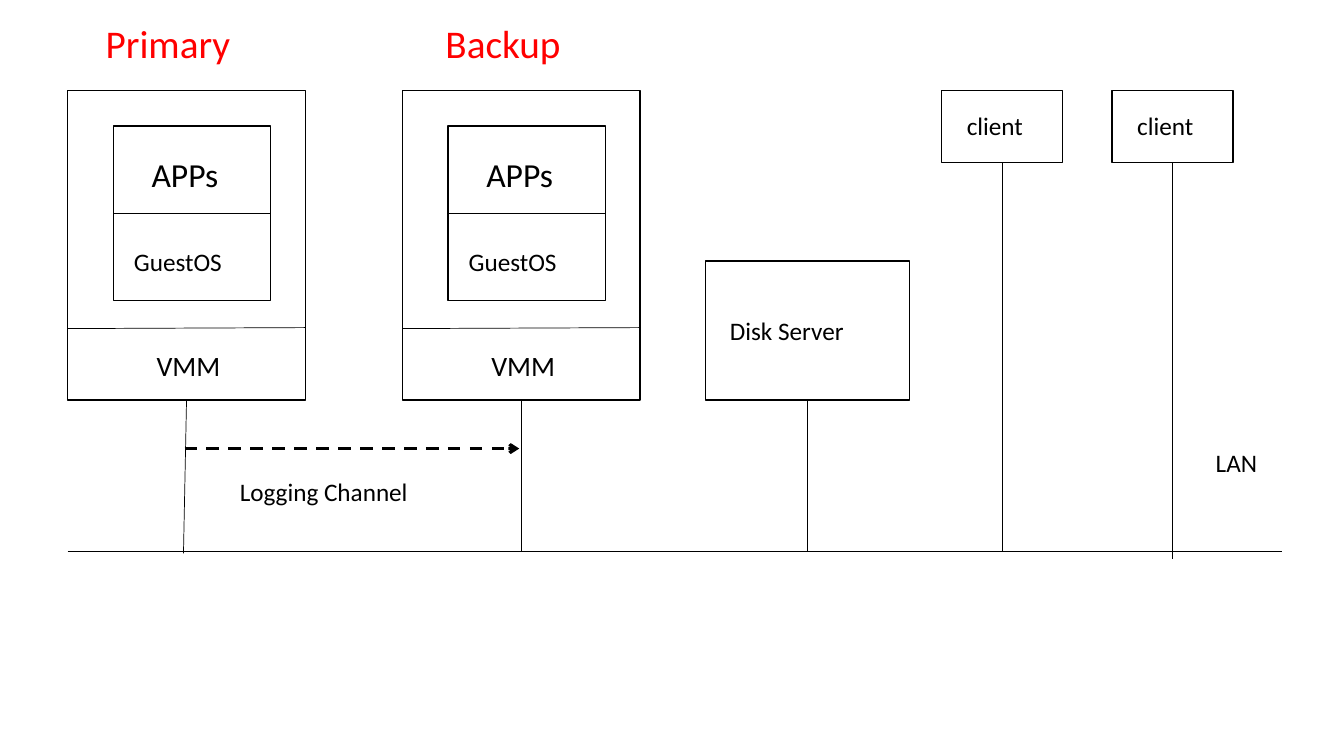
from lxml import etree
from pptx import Presentation
from pptx.dml.color import RGBColor
from pptx.enum.dml import MSO_LINE
from pptx.enum.shapes import MSO_CONNECTOR, MSO_SHAPE
from pptx.oxml.ns import qn
from pptx.util import Inches, Pt

RECT = MSO_SHAPE.RECTANGLE
STRAIGHT = MSO_CONNECTOR.STRAIGHT
DASH = MSO_LINE.DASH
BLACK, WHITE, RED = "000000", "FFFFFF", "FF0000"
TOP, BASE, LAN_Y = 0.9, 3.97, 5.47

prs = Presentation()
prs.slide_width, prs.slide_height = Inches(13.33), Inches(7.5)
s = prs.slides.add_slide(prs.slide_layouts[6])


def add_line(x1, y1, x2, y2, width=0.5):
    c = s.shapes.add_connector(STRAIGHT, Inches(x1), Inches(y1), Inches(x2), Inches(y2))
    c.line.color.rgb = RGBColor.from_string(BLACK)
    c.line.width = Pt(width)
    etree.SubElement(c._element.spPr, qn("a:effectLst"))
    return c


def add_label(text, x, y, w, h, size=18, color=BLACK):
    tb = s.shapes.add_textbox(Inches(x), Inches(y), Inches(w), Inches(h))
    tf = tb.text_frame
    tf.word_wrap = True
    tf.text = text
    r = tf.paragraphs[0].runs[0]
    r.font.name = "Calibri"
    r.font.size = Pt(size)
    r.font.color.rgb = RGBColor.from_string(color)


servers = [0.67, 3.99]
clients = [9.34, 11.03]

boxes = [(7, 2.59, 2.02, 1.38)]
for x in servers:
    boxes += [(x, TOP, 2.36, 3.07), (x + 0.455, 1.25, 1.56, 1.73)]
for x in clients:
    boxes.append((x, TOP, 1.2, 0.71))

for x, y, w, h in boxes:
    box = s.shapes.add_shape(RECT, Inches(x), Inches(y), Inches(w), Inches(h))
    box.shadow.inherit = False
    box.fill.solid()
    box.fill.fore_color.rgb = RGBColor.from_string(WHITE)
    box.line.color.rgb = RGBColor.from_string(BLACK)
    box.line.width = Pt(1)

for x in servers:
    add_line(x, 3.26, x + 2.36, 3.25)
    add_line(x + 0.455, 2.12, x + 2.015, 2.12)
    add_label("VMM", x + 0.785, 3.41, 0.9, 0.44, 20)
    add_label("APPs", x + 0.735, 1.48, 1, 0.5, 24)
    add_label("GuestOS", x + 0.56, 2.39, 1.35, 0.4)

add_label("Primary", 0.95, 0.14, 1.8, 0.57, 28, RED)
add_label("Backup", 4.32, 0.14, 1.69, 0.57, 28, RED)
add_label("Disk Server", 7.14, 3.08, 1.75, 0.4)
for x in clients:
    add_label("client", x + 0.15, 1.05, 0.91, 0.4)

add_line(0.67, LAN_Y, 12.72, LAN_Y)
add_label("LAN", 11.96, 4.39, 1.3, 0.4)
add_line(1.85, BASE, 1.82, 5.49)
for x, y, end in [(5.17, BASE, LAN_Y), (8.01, BASE, LAN_Y), (9.94, 1.61, LAN_Y), (11.63, 1.61, 5.55)]:
    add_line(x, y, x, end)

add_label("Logging Channel", 2.28, 4.68, 2.4, 0.4)
channel = add_line(1.83, 4.45, 5.15, 4.45, 2.25)
channel.line.dash_style = DASH
etree.SubElement(channel.line._get_or_add_ln(), qn("a:tailEnd"), type="arrow")

prs.save("out.pptx")
